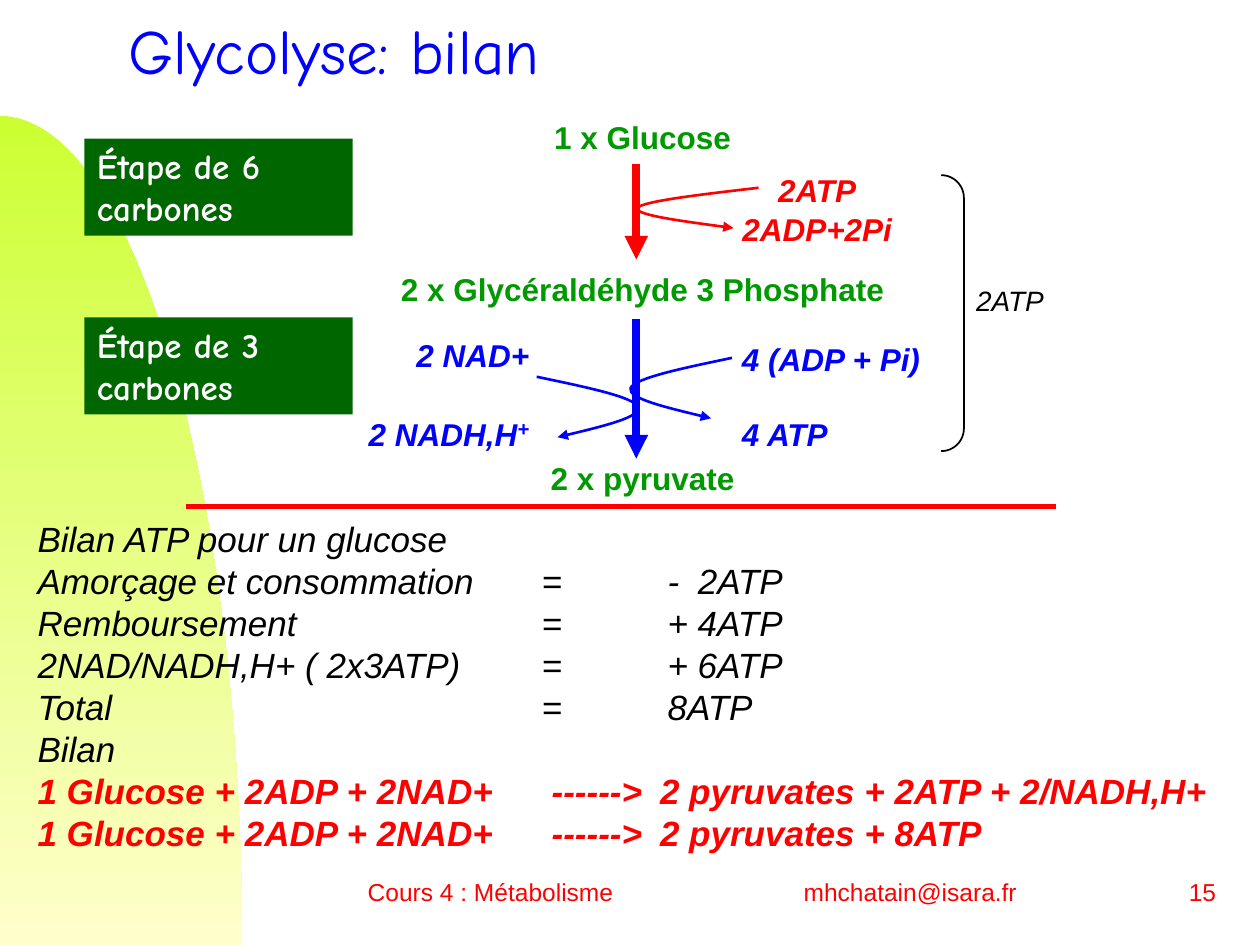
from lxml import etree
from pptx import Presentation
from pptx import util as u
from pptx.dml import color
from pptx.enum import shapes, text
from pptx.oxml import ns

COLORS = {
    "red": "FF0000", "blue": "0000FF", "green": "009900", "dark": "006600",
    "black": "000000", "white": "FFFFFF", "lime": "CCFF33", "cream": "FFFFCC",
}
ALIGN = text.PP_ALIGN
ANCHOR = text.MSO_ANCHOR
HOOK_X = (1, 0.54, 0.07, 0.03, 0, 0.4, 0.8)


def rgb(name):
    return color.RGBColor.from_string(COLORS[name])


def inches(*values):
    return [u.Inches(v) for v in values]


def add_run(p, words, size, col, font="Arial", bold=False, italic=False):
    r = p.add_run()
    r.text = words
    f = r.font
    f.size, f.name, f.bold, f.italic = u.Pt(size), font, bold, italic
    f.color.rgb = rgb(col)
    return r


def add_tabs(p, stops):
    tabs = etree.SubElement(p._p.get_or_add_pPr(), ns.qn("a:tabLst"))
    for stop in stops:
        etree.SubElement(tabs, ns.qn("a:tab"), pos=str(u.Inches(stop)), algn="l")


def add_label(s, box, words, size, col, align=ALIGN.LEFT, **style):
    tf = s.shapes.add_textbox(*inches(*box)).text_frame
    tf.word_wrap = True
    tf.vertical_anchor = ANCHOR.MIDDLE
    p = tf.paragraphs[0]
    p.alignment = align
    add_run(p, words, size, col, **style)
    return tf


def set_line(sp, col, width, arrow=False):
    sp.line.color.rgb = rgb(col)
    sp.line.width = u.Pt(width)
    if arrow:
        etree.SubElement(sp.line._get_or_add_ln(), ns.qn("a:tailEnd"), type="triangle")


def add_line(s, start, end, col, width, arrow=False):
    c = s.shapes.add_connector(shapes.MSO_CONNECTOR.STRAIGHT, *inches(*start, *end))
    set_line(c, col, width, arrow)
    etree.SubElement(c._element.spPr, ns.qn("a:effectLst"))


def add_curve(s, points, curves, closed=False):
    start, *rest = [inches(*pt) for pt in points]
    fb = s.shapes.build_freeform(*start)
    fb.add_line_segments(rest, close=closed)
    sp = fb.convert_to_shape()
    sp.shadow.inherit = False
    segments = list(sp._element.iter(ns.qn("a:lnTo")))
    for i in range(0, 3 * curves, 3):
        bezier = etree.Element(ns.qn("a:cubicBezTo"))
        segments[i].addprevious(bezier)
        for segment in segments[i:i + 3]:
            bezier.append(segment[0])
            segment.getparent().remove(segment)
    return sp


def add_hook(s, box, col, flip=False):
    x, y, w, h = box
    points = [(x + w * (1 - k if flip else k), y + h * i / 6) for i, k in enumerate(HOOK_X)]
    sp = add_curve(s, points, 2)
    sp.fill.background()
    set_line(sp, col, 1.5, True)


def add_hill(s, box):
    x, y, w, h = box
    points = [(x, y), (x + 0.55 * w, y), (x + w, y + 0.45 * h), (x + w, y + h), (x, y + h)]
    sp = add_curve(s, points, 1, closed=True)
    sp.fill.gradient()
    sp.fill.gradient_angle = 270
    for stop, name in zip(sp.fill.gradient_stops, ("lime", "cream")):
        stop.color.rgb = rgb(name)
    sp.line.fill.background()
    s.shapes._spTree.insert(2, sp._element)


def fill_title(s, box):
    sp = s.shapes.title
    sp.left, sp.top, sp.width, sp.height = inches(*box)
    tf = sp.text_frame
    tf.auto_size = text.MSO_AUTO_SIZE.NONE
    tf.vertical_anchor = ANCHOR.MIDDLE
    p = tf.paragraphs[0]
    p.alignment = ALIGN.LEFT
    p.line_spacing = 0.7
    add_run(p, "Glycolyse: bilan", 36, "blue", font="Comic Neue")


def add_stages(s, box):
    x, y, w, h = box
    for i, carbons in enumerate((6, 3)):
        sp = s.shapes.add_shape(shapes.MSO_SHAPE.RECTANGLE, *inches(x, y + i * 1.42, w, h))
        sp.shadow.inherit = False
        sp.fill.solid()
        sp.fill.fore_color.rgb = rgb("dark")
        sp.line.fill.background()
        tf = sp.text_frame
        tf.word_wrap = True
        tf.vertical_anchor = ANCHOR.TOP
        p = tf.paragraphs[0]
        p.alignment = ALIGN.LEFT
        add_run(p, f"Étape de {carbons} carbones", 20, "white", font="Comic Neue", bold=True)


def add_pathway(s, box):
    x, y, w, h = box
    row = 0.39
    for dy, words in ((0, "1 x Glucose"), (1.21, "2 x Glycéraldéhyde 3 Phosphate"),
                      (2.71, "2 x pyruvate")):
        add_label(s, (x, y + dy, w, row), words, 18, "green", ALIGN.CENTER, bold=True)

    axis = x + 4.14
    add_line(s, (axis, y + 0.41), (axis, y + 1.17), "red", 4.5, True)
    add_line(s, (axis, y + 1.64), (axis, y + 2.75), "blue", 4.5, True)
    add_hook(s, (axis - 0.02, y + 0.6, 0.99, 0.32), "red")
    add_hook(s, (axis - 0.07, y + 1.95, 0.83, 0.48), "blue")
    add_hook(s, (axis - 0.79, y + 2.1, 0.83, 0.48), "blue", flip=True)

    strong = {"bold": True, "italic": True}
    right = x + 4.88
    for dy, words in ((0.42, "2ATP"), (0.73, "2ADP+2Pi")):
        add_label(s, (right, y + dy, 1.39, row), words, 18, "red", ALIGN.CENTER, **strong)
    for dy, words in ((1.76, "4 (ADP + Pi)"), (2.36, "4 ATP")):
        add_label(s, (right, y + dy, 2.94, row), words, 18, "blue", **strong)
    left = x + 0.45
    add_label(s, (left, y + 1.73, 2.94, row), "2 NAD+", 18, "blue", ALIGN.RIGHT, **strong)
    tf = add_label(s, (left, y + 2.35, 2.94, row), "2 NADH,H", 18, "blue", ALIGN.RIGHT, **strong)
    plus = add_run(tf.paragraphs[0], "+", 20, "blue", **strong)
    plus._r.get_or_add_rPr().set("baseline", "30000")


def add_bracket(s, box):
    x, y, w, h = box
    sp = s.shapes.add_shape(shapes.MSO_SHAPE.RIGHT_BRACKET, *inches(*box))
    sp.adjustments[0] = 1
    sp.shadow.inherit = False
    sp.fill.background()
    set_line(sp, "black", 1)
    add_label(s, (x + w - 0.01, y + 0.81, 0.75, 0.37), "2ATP", 16, "black",
              ALIGN.CENTER, italic=True)


def add_balance(s, box):
    tf = s.shapes.add_textbox(*inches(*box)).text_frame
    tf.word_wrap = True
    plain = ("Bilan ATP pour un glucose", "Amorçage et consommation\t=\t-\t2ATP",
             "Remboursement\t=\t+ 4ATP", "2NAD/NADH,H+ ( 2x3ATP)\t=\t+ 6ATP",
             "Total\t=\t8ATP", "Bilan")
    equations = [f"1 Glucose + 2ADP + 2NAD+\t------>\t2 pyruvates + {gain}"
                 for gain in ("2ATP + 2/NADH,H+", "8ATP")]
    rows = [(words, "black", False, (4, 5, 5.24)) for words in plain]
    rows += [(words, "red", True, (4.08, 4.94)) for words in equations]
    for i, (words, col, bold, stops) in enumerate(rows):
        p = tf.add_paragraph() if i else tf.paragraphs[0]
        add_tabs(p, stops)
        add_run(p, words, 20, col, bold=bold, italic=True)


def add_footer(s, box):
    x, y, w, h = box
    tf = add_label(s, (x, y, 5.5, h), "Cours 4 : Métabolisme\tmhchatain@isara.fr", 14, "red")
    add_tabs(tf.paragraphs[0], [3.46])
    add_label(s, (x + w - 1, y, 1, h), "15", 14, "red", ALIGN.RIGHT)


def main():
    prs = Presentation()
    prs.slide_width, prs.slide_height = inches(10, 7.5)
    s = prs.slides.add_slide(prs.slide_layouts[5])
    add_hill(s, (0, 0.92, 1.92, 6.58))
    fill_title(s, (0.92, 0.13, 8.75, 0.67))
    add_stages(s, (0.67, 1.1, 2.13, 0.77))
    add_pathway(s, (0.91, 0.89, 8.38, 3.1))
    add_bracket(s, (7.47, 1.39, 0.18, 2.19))
    add_line(s, (1.48, 4.02), (8.38, 4.02), "red", 3)
    add_balance(s, (0.2, 4.06, 9.8, 2.75))
    add_footer(s, (2.82, 6.83, 6.93, 0.5))
    prs.save("out.pptx")


if __name__ == "__main__":
    main()
